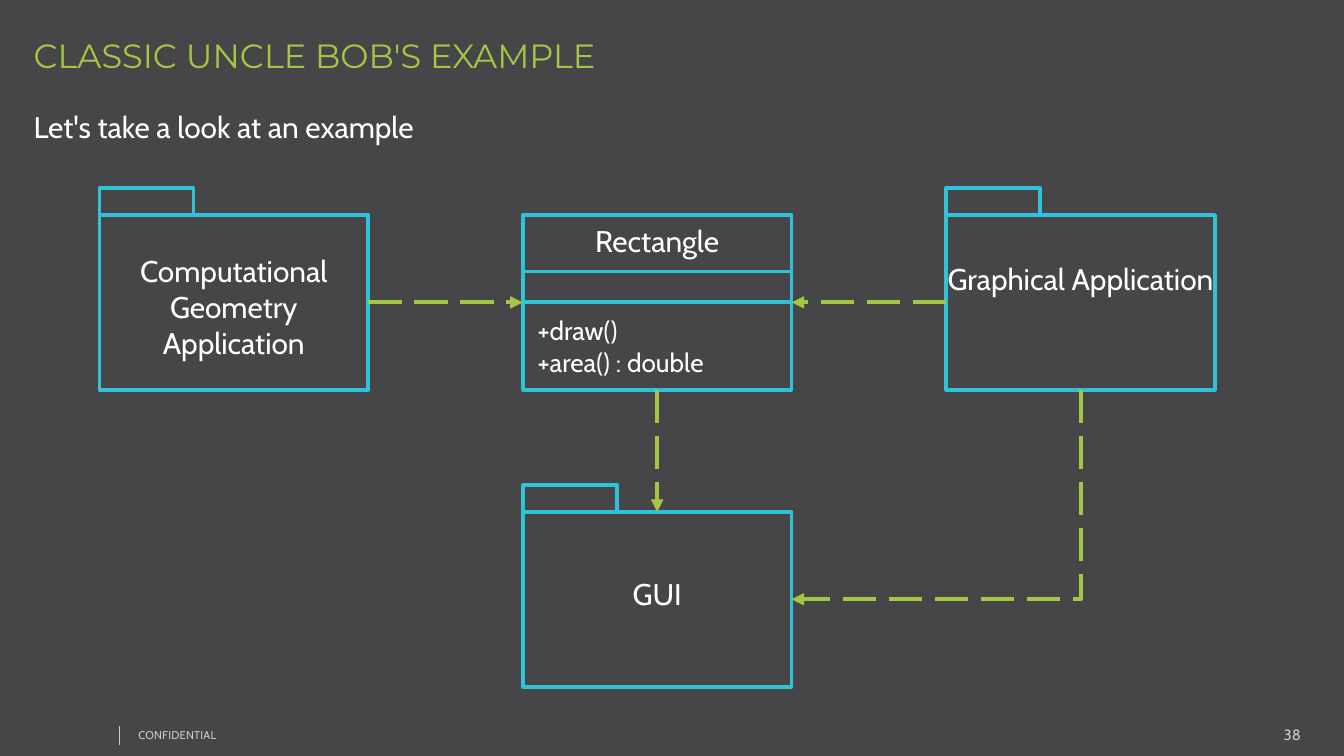
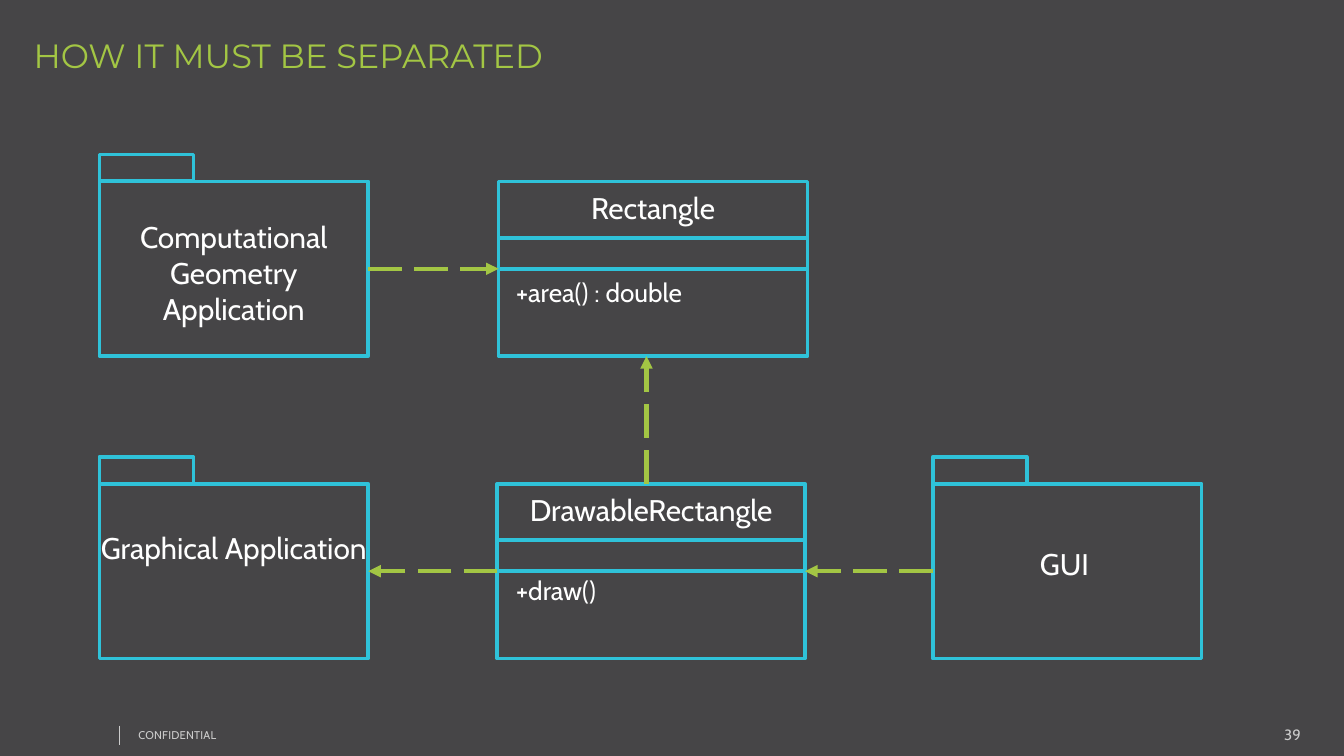
from lxml import etree
from pptx import Presentation
from pptx import util as u
from pptx.dml import color
from pptx.enum import dml, shapes, text
from pptx.oxml import ns

SLIDE_W = 10
SLIDE_H = SLIDE_W * 9 / 16
BACKGROUND, GREEN, CYAN, WHITE, GREY = "464547", "A3C644", "2FC2D9", "FFFFFF", "CCCCCC"
BODY_FONT, TITLE_FONT = "Cabin", "Montserrat"
BOX_W, BOX_H = 2, 1.3          # package and class bodies
TAB_W, TAB_H = 0.7, 0.2        # package tab
DIVIDER_TOP, DIVIDER_H = 0.42, 0.23   # attribute row of a class
MIDDLE = DIVIDER_TOP + DIVIDER_H      # half of the box height


def rgb(hex_code):
    return color.RGBColor.from_string(hex_code)


def add_text(slide, box, lines, size, hue=WHITE, font=BODY_FONT, align=None,
             inset=(0, 0), gap=0, wrap=True, grow=False, spacing=None):
    label = slide.shapes.add_textbox(*[u.Inches(v) for v in box])
    frame = label.text_frame
    frame.word_wrap = wrap
    frame.auto_size = text.MSO_AUTO_SIZE.SHAPE_TO_FIT_TEXT if grow else text.MSO_AUTO_SIZE.NONE
    frame.margin_left = frame.margin_right = u.Inches(inset[0])
    frame.margin_top = frame.margin_bottom = u.Inches(inset[1])
    for i, line in enumerate(lines):
        para = frame.add_paragraph() if i else frame.paragraphs[0]
        para.alignment = align
        para.space_before = para.space_after = u.Pt(gap)
        run = para.add_run()
        run.text = line
        run.font.size, run.font.name = u.Pt(size), font
        run.font.color.rgb = rgb(hue)
        if spacing:
            run.font._element.set("spc", str(spacing))


def add_outline(slide, left, top, width, height):
    outline = slide.shapes.add_shape(
        shapes.MSO_SHAPE.RECTANGLE, *[u.Inches(v) for v in (left, top, width, height)])
    outline.shadow.inherit = False
    outline.fill.background()
    outline.line.color.rgb = rgb(CYAN)
    outline.line.width = u.Pt(2)


def add_line(slide, start, end, hue, weight, kind=shapes.MSO_CONNECTOR.STRAIGHT):
    line = slide.shapes.add_connector(kind, *[u.Inches(v) for v in (*start, *end)])
    line.line.color.rgb = rgb(hue)
    line.line.width = u.Pt(weight)
    etree.SubElement(line._element.spPr, ns.qn("a:effectLst"))
    return line


def add_dependency(slide, start, end, kind=shapes.MSO_CONNECTOR.STRAIGHT):
    """Dashed green arrow."""
    arrow = add_line(slide, start, end, GREEN, 2.25, kind)
    arrow.line.dash_style = dml.MSO_LINE.LONG_DASH
    etree.SubElement(arrow.line._get_or_add_ln(), ns.qn("a:tailEnd"), type="triangle")
    return arrow


def add_corner_dependency(slide, start, end):
    """Arrow that runs down from start, then left to end: a quarter-turned elbow."""
    across, down = start[0] - end[0], end[1] - start[1]
    mid_x, mid_y = (start[0] + end[0]) / 2, (start[1] + end[1]) / 2
    arrow = add_dependency(slide, (mid_x - down / 2, mid_y - across / 2),
                           (mid_x + down / 2, mid_y + across / 2),
                           shapes.MSO_CONNECTOR.ELBOW)
    props = arrow._element.spPr
    props.find(ns.qn("a:xfrm")).set("rot", str(90 * 60000))
    props.find(ns.qn("a:prstGeom")).set("prst", "bentConnector2")


def add_caption(slide, left, top, width, height, caption):
    add_text(slide, (left, top, width, height), [caption], 16,
             align=text.PP_ALIGN.CENTER, gap=6)


def add_package(slide, left, top, caption, caption_top, caption_h, caption_shift=0):
    add_outline(slide, left, top, BOX_W, BOX_H)
    add_outline(slide, left, top - TAB_H, TAB_W, TAB_H)
    add_caption(slide, left + caption_shift, top + caption_top, BOX_W, caption_h, caption)


def add_class(slide, left, top, width, name, methods, methods_top, indent):
    add_outline(slide, left, top, width, BOX_H)
    add_caption(slide, left, top + 0.06, width, 0.35, name)
    add_outline(slide, left, top + DIVIDER_TOP, width, DIVIDER_H)
    add_text(slide, (left + indent, top + methods_top, width - indent, 0.55), methods, 14)


def add_base(prs, title, title_w, number):
    """Background, footer and title shared by the slides."""
    slide = prs.slides.add_slide(prs.slide_layouts[6])
    slide.background.fill.solid()
    slide.background.fill.fore_color.rgb = rgb(BACKGROUND)
    inset = (0.07, 0.04)
    add_text(slide, (8.12, 5.36, 1.63, 0.21), [str(number)], 8, GREY,
             align=text.PP_ALIGN.RIGHT, inset=inset, grow=True)
    add_text(slide, (0.96, 5.38, 2.53, 0.18), ["CONFIDENTIAL"], 6, GREY,
             inset=inset, grow=True, spacing=10)
    add_line(slide, (0.89, 5.4), (0.89, 5.54), GREY, 0.25)
    add_text(slide, (0.25, 0.26, title_w, 0.3), [title], 18, GREEN, TITLE_FONT,
             wrap=False, grow=True)
    return slide


def build_example(prs):
    slide = add_base(prs, "CLASSIC UNCLE BOB'S EXAMPLE", 4.64, 38)
    geometry, rectangle, graphical = [0.74 + 3.15 * i for i in range(3)]
    top, gui_top = 1.6, 3.81
    # Packages and class
    add_package(slide, geometry, top, "Computational Geometry Application", 0.28, 0.74)
    add_package(slide, graphical, top, "Graphical Application", 0.34, 0.61)
    add_package(slide, rectangle, gui_top, "GUI", 0.47, 0.35)
    add_class(slide, rectangle, top, BOX_W, "Rectangle",
              ["+draw()", "+area() : double"], 0.74, 0.11)
    # Dependencies
    middle, bottom = top + MIDDLE, top + BOX_H
    centre, right = rectangle + BOX_W / 2, rectangle + BOX_W
    add_dependency(slide, (geometry + BOX_W, middle), (rectangle, middle))
    add_dependency(slide, (graphical, middle), (right, middle))
    add_dependency(slide, (centre, bottom), (centre, gui_top))
    add_corner_dependency(slide, (graphical + BOX_W / 2, bottom), (right, gui_top + MIDDLE))
    # Lead-in
    add_text(slide, (0.25, 0.81, 6.69, 0.33), ["Let's take a look at an example"], 16, gap=6)


def build_separation(prs):
    slide = add_base(prs, "HOW IT MUST BE SEPARATED", 4.14, 39)
    packages, rectangle, drawable, gui = 0.74, 3.71, 3.7, 6.94
    upper, lower = 1.35, 3.6
    rectangle_w, drawable_w = 2.3, 2.29
    # Packages and classes
    add_package(slide, packages, upper, "Computational Geometry Application", 0.28, 0.74)
    add_package(slide, packages, lower, "Graphical Application", 0.34, 0.61)
    add_package(slide, gui, lower, "GUI", 0.46, 0.35, caption_shift=-0.02)
    add_class(slide, rectangle, upper, rectangle_w, "Rectangle",
              ["+area() : double"], 0.71, 0.13)
    add_class(slide, drawable, lower, drawable_w, "DrawableRectangle",
              ["+draw()"], 0.67, 0.14)
    # Dependencies
    row, low_row, centre = upper + MIDDLE, lower + MIDDLE, 4.81
    add_dependency(slide, (drawable, low_row), (packages + BOX_W, low_row))
    add_dependency(slide, (gui, low_row), (drawable + drawable_w, low_row))
    add_dependency(slide, (packages + BOX_W, row), (rectangle, row))
    add_dependency(slide, (centre, lower), (centre, upper + BOX_H))


def main():
    prs = Presentation()
    prs.slide_width, prs.slide_height = u.Inches(SLIDE_W), u.Inches(SLIDE_H)
    build_example(prs)
    build_separation(prs)
    prs.save("out.pptx")


if __name__ == "__main__":
    main()
